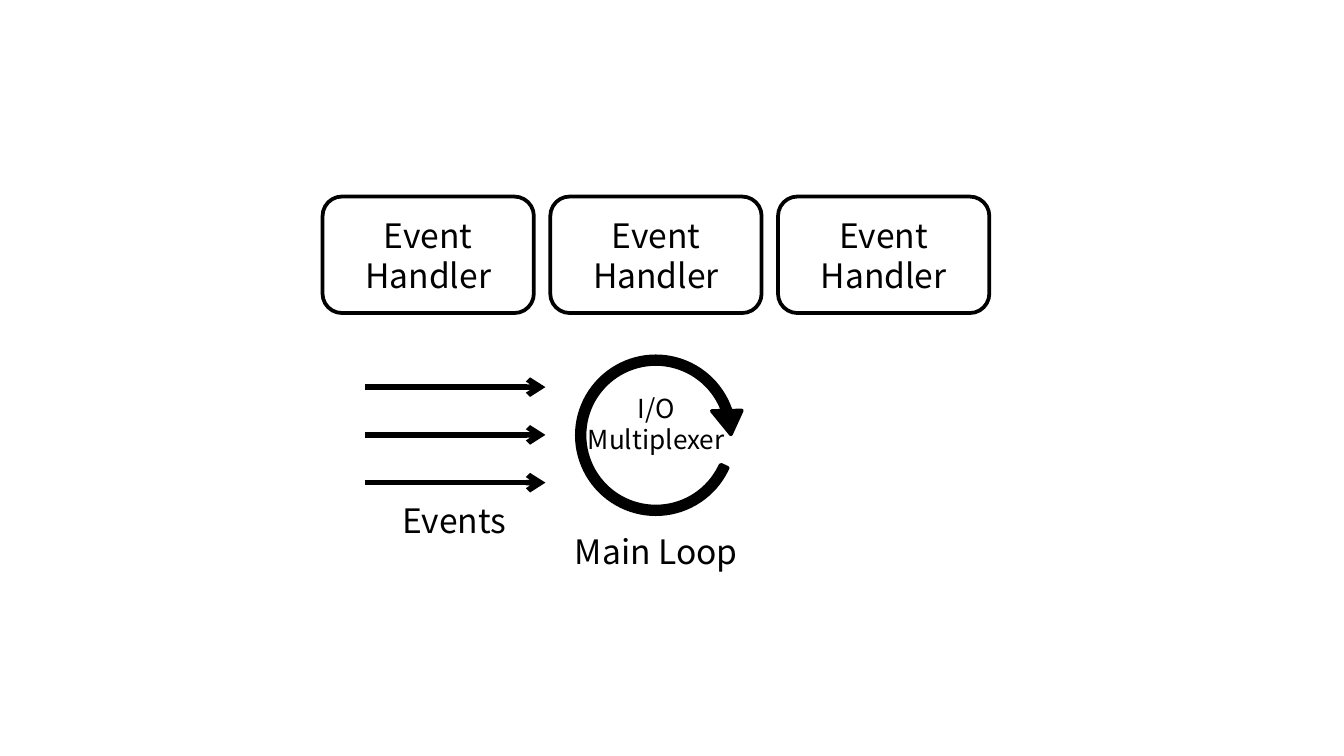
"""Draw an event loop diagram with handlers, incoming events and an I/O multiplexer."""
from lxml.etree import SubElement
from pptx import Presentation
from pptx.dml.color import RGBColor
from pptx.enum.shapes import MSO_CONNECTOR as Connector, MSO_SHAPE as Shape
from pptx.enum.text import MSO_ANCHOR as Anchor, MSO_AUTO_SIZE as AutoSize, PP_ALIGN as Align
from pptx.oxml.ns import qn
from pptx.util import Pt

BLACK = RGBColor(0, 0, 0)
WHITE = RGBColor(255, 255, 255)


class Diagram:
    font = "Noto Sans CJK KR"
    outline = Pt(2)
    stroke = Pt(3)

    def __init__(self, slide):
        self.shapes = slide.shapes

    def add_lines(self, frame, lines, size):
        frame.word_wrap = True
        for index, line in enumerate(lines):
            paragraph = frame.paragraphs[0] if index == 0 else frame.add_paragraph()
            paragraph.alignment = Align.CENTER
            run = paragraph.add_run()
            run.text = line
            run.font.name = self.font
            run.font.size = Pt(size)
            run.font.color.rgb = BLACK

    def label(self, lines, left, top, width, height, size=18):
        frame = self.shapes.add_textbox(Pt(left), Pt(top), Pt(width), Pt(height)).text_frame
        frame.auto_size = AutoSize.SHAPE_TO_FIT_TEXT
        self.add_lines(frame, lines, size)

    def shape(self, kind, left, top, width, height, fill):
        shape = self.shapes.add_shape(kind, Pt(left), Pt(top), Pt(width), Pt(height))
        shape.shadow.inherit = False
        shape.fill.solid()
        shape.fill.fore_color.rgb = fill
        shape.line.color.rgb = BLACK
        shape.line.width = self.outline
        return shape

    def box(self, text, left, top, width, height):
        frame = self.shape(Shape.ROUNDED_RECTANGLE, left, top, width, height, WHITE).text_frame
        frame.vertical_anchor = Anchor.MIDDLE
        self.add_lines(frame, [text], 18)

    def loop(self, left, top, size, adjustments):
        arrow = self.shape(Shape.CIRCULAR_ARROW, left, top, size, size, BLACK)
        for index, value in enumerate(adjustments):
            arrow.adjustments[index] = value

    def arrows(self, left, right, heights):
        group = self.shapes.add_group_shape()
        for y in heights:
            arrow = group.shapes.add_connector(
                Connector.STRAIGHT, Pt(left), Pt(y), Pt(right), Pt(y))
            arrow.line.color.rgb = BLACK
            arrow.line.width = self.stroke
            properties = arrow._element.spPr
            SubElement(properties.find(qn("a:ln")), qn("a:tailEnd"), type="arrow")
            SubElement(properties, qn("a:effectLst"))


def main():
    deck = Presentation()
    deck.slide_width, deck.slide_height = Pt(720), Pt(405)
    diagram = Diagram(deck.slides.add_slide(deck.slide_layouts[6]))

    diagram.loop(303.1, 185, 96.5, (0.042, 10.979, 204.567, 14.638, 0.083))
    diagram.label(["Events"], 203.8, 264.2, 79.2, 29)
    diagram.arrows(195.8, 292.2, [207.4 + 25.6 * row for row in range(3)])
    diagram.label(["Main Loop"], 286.6, 280.8, 130, 29)
    for column in range(3):
        diagram.box("Event Handler", 172.8 + 122 * column, 105.3, 113.2, 62.4)
    diagram.label(["I/O", "Multiplexer"], 286.6, 206.6, 130, 41, size=14)

    deck.save("out.pptx")


if __name__ == "__main__":
    main()
